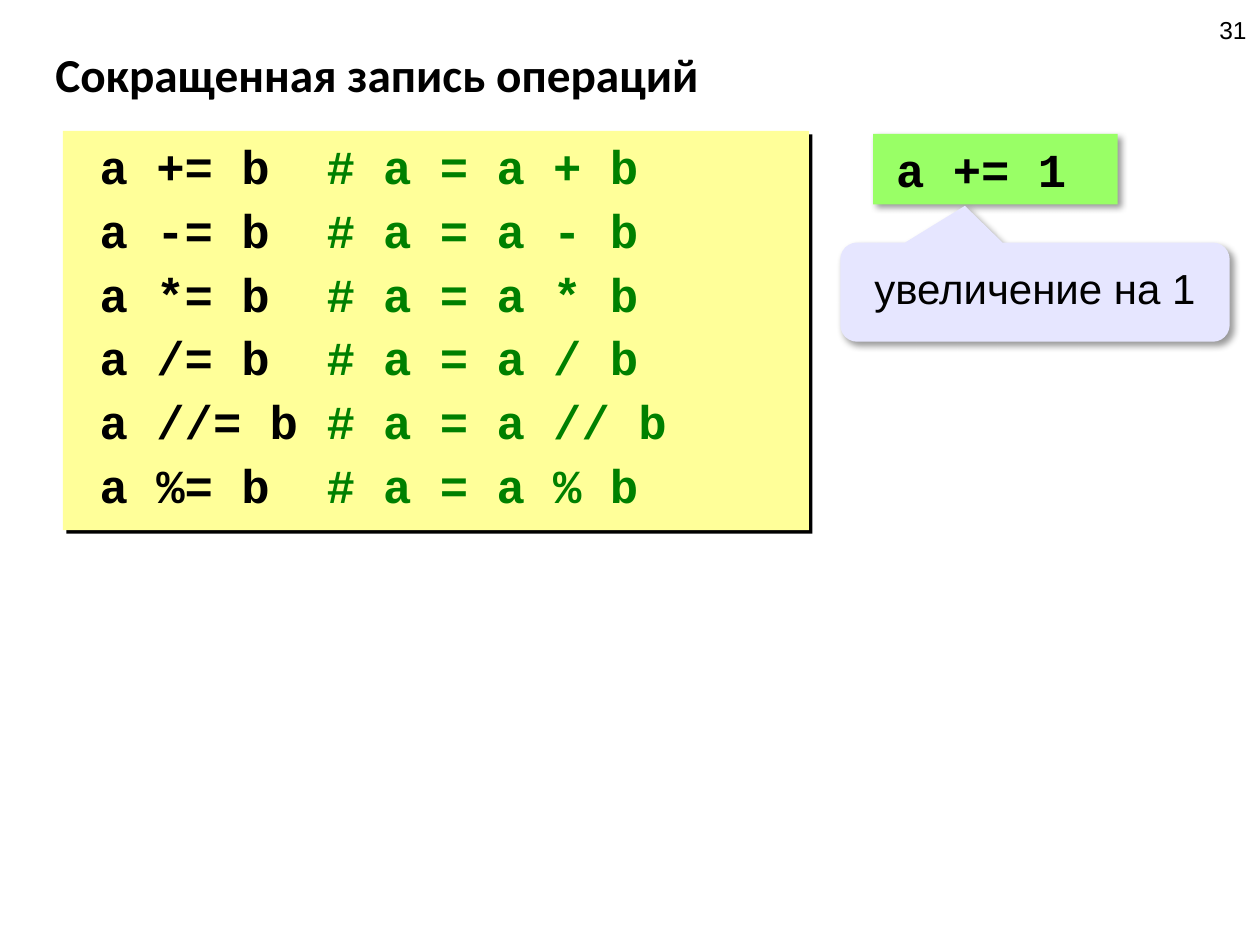
from lxml import etree
from pptx import Presentation, util as u
from pptx.dml.color import RGBColor
from pptx.enum import shapes, text
from pptx.oxml import ns

CODE_FONT = dict(name="Courier New", size=u.Pt(27), bold=True)
SOFT_SHADOW = dict(alpha=40, blur=4, distance=3)
OPERATIONS = [
    ("a += b  ", "# a = a + b"),
    ("a -= b  ", "# a = a - b"),
    ("a *= b  ", "# a = a * b"),
    ("a /= b  ", "# a = a / b"),
    ("a //= b ", "# a = a // b"),
    ("a %= b  ", "# a = a % b"),
]


def apply(target, values):
    """Set every attribute named in values."""
    for name, value in values.items():
        setattr(target, name, value)


def colour(fill, value):
    """Make a fill solid with a hex colour."""
    fill.solid()
    fill.fore_color.rgb = RGBColor.from_string(value)


def write(para, words, font, shade="000000"):
    """Add a formatted run to a paragraph."""
    span = para.add_run()
    span.text = words
    apply(span.font, font)
    colour(span.font.fill, shade)


def cast_shadow(shape, alpha, blur, distance):
    """Give a shape a black shadow to the lower right."""
    shape.shadow.inherit = False
    effects = shape._element.spPr.find(ns.qn("a:effectLst"))
    shadow = etree.SubElement(
        effects, ns.qn("a:outerShdw"), blurRad=str(u.Pt(blur)),
        dist=str(u.Pt(distance)), dir="2700000", algn="tl", rotWithShape="0")
    shade = etree.SubElement(shadow, ns.qn("a:srgbClr"), val="000000")
    etree.SubElement(shade, ns.qn("a:alpha"), val=str(alpha * 1000))


def add_panel(page, kind, box, fill, shadow):
    """Add a filled shape without an outline."""
    panel = page.shapes.add_shape(kind, *map(u.Cm, box))
    colour(panel.fill, fill)
    panel.line.fill.background()
    cast_shadow(panel, **shadow)
    return panel


def add_heading(page, box):
    """Place and format the title."""
    title = page.shapes.title
    apply(title, dict(zip(("left", "top", "width", "height"), map(u.Cm, box))))
    title.text_frame.vertical_anchor = text.MSO_ANCHOR.MIDDLE
    para = title.text_frame.paragraphs[0]
    para.alignment = text.PP_ALIGN.LEFT
    write(para, "Сокращенная запись операций",
          dict(name="Calibri", size=u.Pt(27), bold=True))


def add_page_number(page, box):
    """Add the page number at the right of the box."""
    frame = page.shapes.add_textbox(*map(u.Cm, box)).text_frame
    apply(frame, dict(word_wrap=True, vertical_anchor=text.MSO_ANCHOR.MIDDLE))
    para = frame.paragraphs[0]
    para.alignment = text.PP_ALIGN.RIGHT
    write(para, "31", dict(name="Arial", size=u.Pt(14)))


def add_operations(page, box):
    """Add the list of short operators with their long forms."""
    panel = add_panel(page, shapes.MSO_SHAPE.RECTANGLE, box, "FFFF99",
                      dict(alpha=100, blur=0, distance=2.8))
    frame = panel.text_frame
    frame.vertical_anchor = text.MSO_ANCHOR.TOP
    for index, (code, comment) in enumerate(OPERATIONS):
        para = frame.add_paragraph() if index else frame.paragraphs[0]
        apply(para, dict(alignment=text.PP_ALIGN.LEFT,
                         space_before=u.Pt(4.05 if index else 0)))
        para._p.get_or_add_pPr().set("marL", str(u.Cm(0.49)))
        write(para, code, CODE_FONT)
        write(para, comment, CODE_FONT, "008000")


def add_example(page, box):
    """Add the increment sample with its callout below."""
    left, top, width, height = box
    sample = add_panel(page, shapes.MSO_SHAPE.RECTANGLE,
                       (left + 0.66, top, 4.93, 1.42), "99FF66", SOFT_SHADOW)
    sample.text_frame.vertical_anchor = text.MSO_ANCHOR.TOP
    para = sample.text_frame.paragraphs[0]
    para.alignment = text.PP_ALIGN.CENTER
    write(para, "a += 1 ", CODE_FONT)

    callout = add_panel(page, shapes.MSO_SHAPE.ROUNDED_RECTANGULAR_CALLOUT,
                        (left, top + 2.19, width, height - 2.19),
                        "E6E6FF", SOFT_SHADOW)
    for index, value in enumerate((-0.18, -0.87, 0.17)):
        callout.adjustments[index] = value
    callout.text_frame.vertical_anchor = text.MSO_ANCHOR.MIDDLE
    para = callout.text_frame.paragraphs[0]
    apply(para, dict(alignment=text.PP_ALIGN.CENTER, line_spacing=0.8))
    write(para, "увеличение на 1", dict(name="Arial", size=u.Pt(24)))


def main():
    """Build and save the slide."""
    deck = Presentation()
    apply(deck, dict(slide_width=u.Cm(25.4), slide_height=u.Cm(19.05)))
    page = deck.slides.add_slide(deck.slide_layouts.get_by_name("Title Only"))
    add_heading(page, (0.86, 0.82, 23.27, 1.32))
    add_page_number(page, (19.46, -0.06, 5.92, 1.32))
    add_operations(page, (1.27, 2.64, 15.04, 8.05))
    add_example(page, (16.94, 2.7, 7.85, 4.19))
    deck.save("out.pptx")


if __name__ == "__main__":
    main()
